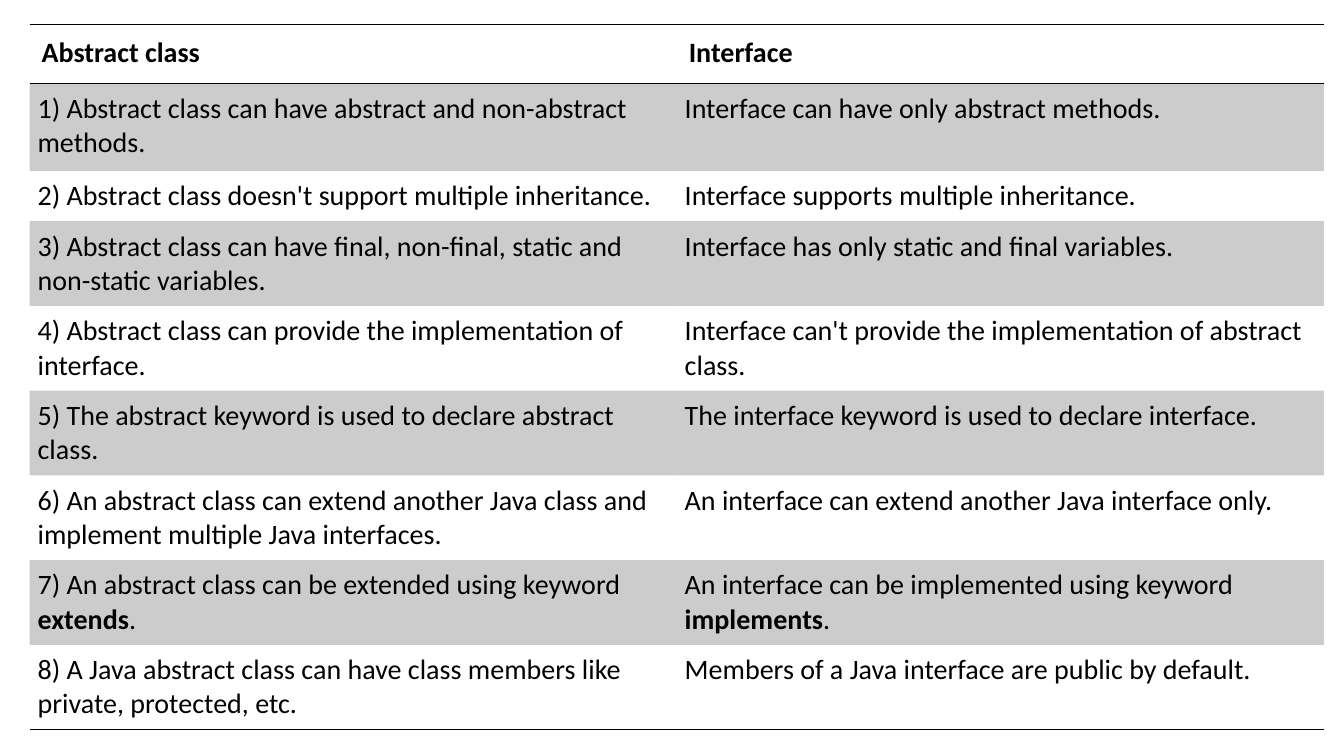
import lxml.etree
import pptx
import pptx.dml.color
import pptx.oxml.ns
import pptx.util

NO_STYLE_NO_GRID = "{2D5ABB26-0587-4C30-8999-92F81FD0307C}"

HEADER = ("Abstract class", "Interface")

# Parts between asterisks are bold
COMPARISON = [
    ("1) Abstract class can have abstract and non-abstract methods.",
     "Interface can have only abstract methods."),
    ("2) Abstract class doesn't support multiple inheritance.",
     "Interface supports multiple inheritance."),
    ("3) Abstract class can have final, non-final, static and non-static variables.",
     "Interface has only static and final variables."),
    ("4) Abstract class can provide the implementation of interface.",
     "Interface can't provide the implementation of abstract class."),
    ("5) The abstract keyword is used to declare abstract class.",
     "The interface keyword is used to declare interface."),
    ("6) An abstract class can extend another Java class and implement multiple Java interfaces.",
     "An interface can extend another Java interface only."),
    ("7) An abstract class can be extended using keyword *extends*.",
     "An interface can be implemented using keyword *implements*."),
    ("8) A Java abstract class can have class members like private, protected, etc.",
     "Members of a Java interface are public by default."),
]

# Row heights in percent of the slide height
ROW_HEIGHTS = [7.9, 11.5, 5.9, 10.8, 10.9, 10.9, 10.1, 10.9, 10.9]


def rgb(color):
    return pptx.dml.color.RGBColor.from_string(color)


def sub(parent, tag, **attrs):
    return lxml.etree.SubElement(parent, pptx.oxml.ns.qn(tag), attrs)


class Deck:
    font, size, ink = "Calibri", 20, "000000"
    band_alpha = 20
    header_inset, body_inset = 0.12, 0.08

    def __init__(self, width, height):
        self.prs = pptx.Presentation()
        self.prs.slide_width = pptx.util.Inches(width)
        self.prs.slide_height = pptx.util.Inches(height)
        self.slide = self.prs.slides.add_slide(self.prs.slide_layouts[6])

    def x(self, percent):
        return round(self.prs.slide_width * percent / 100)

    def y(self, percent):
        return round(self.prs.slide_height * percent / 100)

    def text(self, cell, content, bold, inset):
        cell.margin_left = cell.margin_right = pptx.util.Inches(inset)
        cell.margin_top = cell.margin_bottom = pptx.util.Inches(inset)
        p = cell.text_frame.paragraphs[0]
        p.font.name, p.font.size, p.font.bold = self.font, pptx.util.Pt(self.size), bold
        p.font.color.rgb = rgb(self.ink)
        for i, part in enumerate(content.split("*")):
            r = p.add_run()
            r.text = part
            r.font.name, r.font.size = self.font, pptx.util.Pt(self.size)
            r.font.color.rgb = rgb(self.ink)
            r.font.bold = bold or i % 2 == 1

    def borders(self, cell, sides):
        tc_pr = cell._tc.get_or_add_tcPr()
        for side in sides:
            ln = sub(tc_pr, f"a:ln{side}", w=str(pptx.util.Pt(1)))
            sub(sub(ln, "a:solidFill"), "a:srgbClr", val=self.ink)

    def band(self, cell, shaded):
        if not shaded:
            cell.fill.background()
            return
        cell.fill.solid()
        cell.fill.fore_color.rgb = rgb(self.ink)
        color = cell._tc.tcPr.find(pptx.oxml.ns.qn("a:solidFill"))[0]
        sub(color, "a:alpha", val=str(self.band_alpha * 1000))

    def table(self, left, top, width, heights, rows):
        frame = self.slide.shapes.add_table(
            len(rows), len(rows[0]), self.x(left), self.y(top),
            self.x(width), self.y(sum(heights)))
        tbl = frame.table
        tbl.horz_banding = False
        style = pptx.oxml.ns.qn("a:tableStyleId")
        tbl._tbl.tblPr.find(style).text = NO_STYLE_NO_GRID
        last = len(rows) - 1
        for i, (height, contents) in enumerate(zip(heights, rows)):
            tbl.rows[i].height = self.y(height)
            header = i == 0
            for j, content in enumerate(contents):
                cell = tbl.cell(i, j)
                inset = self.header_inset if header else self.body_inset
                self.text(cell, content, header, inset)
                self.borders(cell, "TB" if header else "B" if i == last else "")
                self.band(cell, i % 2 == 1)


def main():
    deck = Deck(13.33, 7.5)
    # Comparison table
    deck.table(2.2, 3.2, 96.3, ROW_HEIGHTS, [HEADER] + COMPARISON)
    deck.prs.save("out.pptx")


if __name__ == "__main__":
    main()
